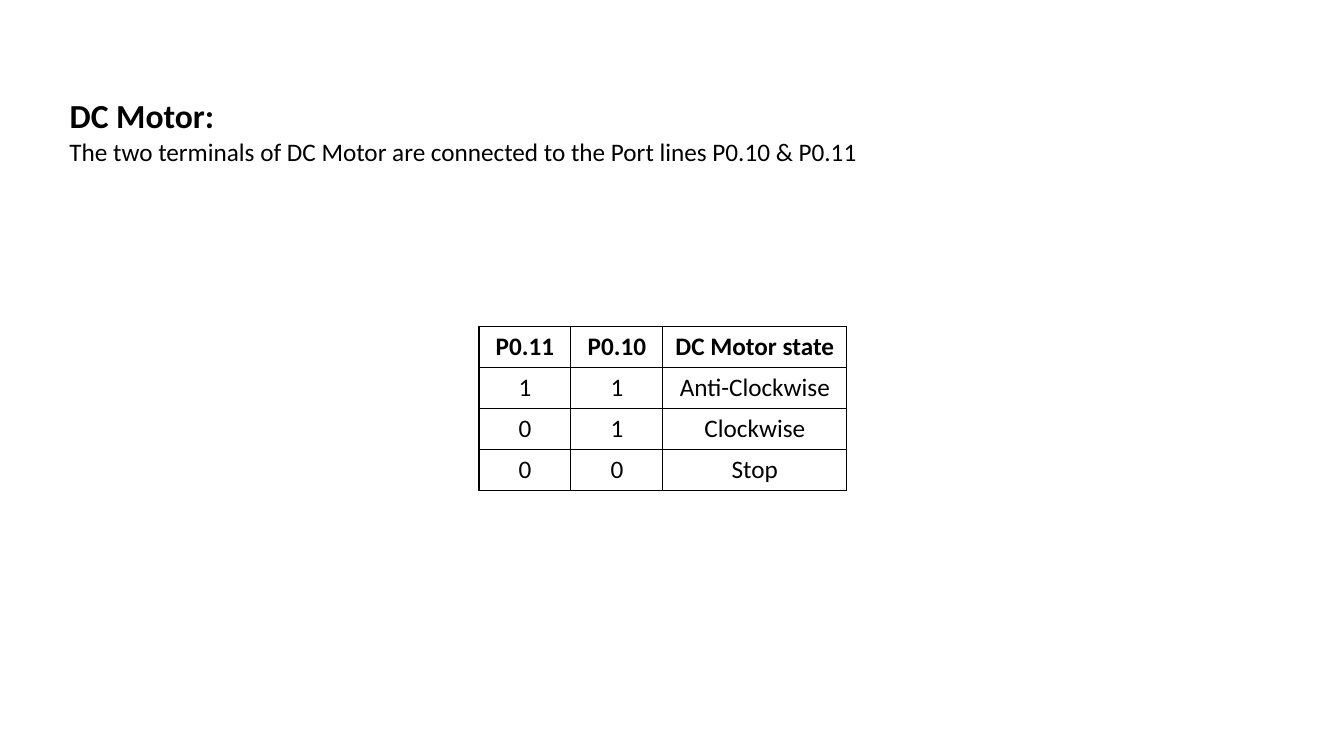
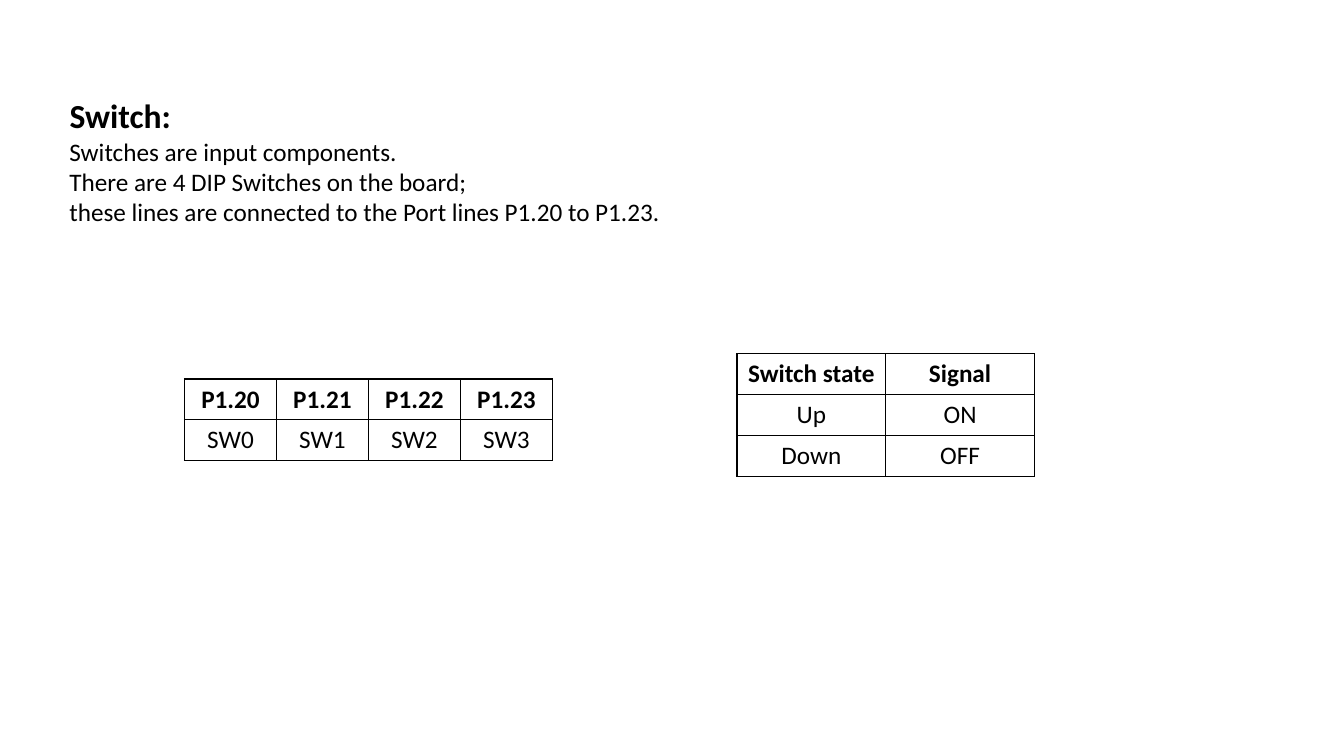
from lxml import etree
from pptx import Presentation
from pptx import util as u
from pptx.dml.color import RGBColor
from pptx.enum import text
from pptx.oxml import ns

FONT, INK, PAPER = "Calibri", "000000", "FFFFFF"
HEADING_SIZE, BODY_SIZE = 24, 18
HEADER_BOX = (0.59, 0.89, 12.2)  # left, top, width
HEADING_HEIGHT, LINE_HEIGHT, INSET = 0.46, 0.3, 0.05


def rgb(value):
    return RGBColor.from_string(value)


def inches(*lengths):
    return [u.Inches(length) for length in lengths]


def write(paragraph, words, size=BODY_SIZE, bold=False, align=text.PP_ALIGN.LEFT):
    paragraph.alignment = align
    run = paragraph.add_run()
    run.text = words
    run.font.name, run.font.size, run.font.bold = FONT, u.Pt(size), bold
    run.font.color.rgb = rgb(INK)


def place(shape, box):
    """Set the box of a text shape, with its lines starting at the top."""
    shape.left, shape.top, shape.width, shape.height = inches(*box)
    frame = shape.text_frame
    frame.word_wrap = True
    frame.auto_size = text.MSO_AUTO_SIZE.NONE
    frame.vertical_anchor = text.MSO_ANCHOR.TOP
    return frame


def add_header(slide, box, heading, lines):
    """Fill the title and put the body lines directly below it."""
    left, top, width = box
    frame = place(slide.shapes.title, (left, top, width, HEADING_HEIGHT))
    frame.margin_top, frame.margin_bottom = inches(INSET, 0)
    write(frame.paragraphs[0], heading, HEADING_SIZE, bold=True)

    body_box = (left, top + HEADING_HEIGHT, width, len(lines) * LINE_HEIGHT + INSET)
    frame = place(slide.shapes.add_textbox(*inches(*body_box)), body_box)
    frame.margin_top = 0
    for index, line in enumerate(lines):
        paragraph = frame.add_paragraph() if index else frame.paragraphs[0]
        write(paragraph, line)


def add_borders(cell, width=1):
    properties = cell._tc.get_or_add_tcPr()
    for side in ("a:lnL", "a:lnR", "a:lnT", "a:lnB"):
        line = etree.SubElement(properties, ns.qn(side), w=str(u.Pt(width)))
        fill = etree.SubElement(line, ns.qn("a:solidFill"))
        etree.SubElement(fill, ns.qn("a:srgbClr"), val=INK)


def add_grid(slide, box, shares, rows):
    """Add a ruled table; shares are the relative column widths."""
    left, top, width, height = inches(*box)
    frame = slide.shapes.add_table(len(rows), len(shares), left, top, width, height)
    table = frame.table
    table.horz_banding = False
    for column, share in zip(table.columns, shares):
        column.width = int(width * share / sum(shares))
    for row_index, row in enumerate(rows):
        table.rows[row_index].height = int(height / len(rows))
        for column_index, words in enumerate(row):
            cell = table.cell(row_index, column_index)
            add_borders(cell)
            cell.fill.solid()
            cell.fill.fore_color.rgb = rgb(PAPER)
            cell.vertical_anchor = text.MSO_ANCHOR.MIDDLE
            write(cell.text_frame.paragraphs[0], words,
                  bold=row_index == 0, align=text.PP_ALIGN.CENTER)


def add_component_slide(presentation, heading, lines, grids):
    slide = presentation.slides.add_slide(presentation.slide_layouts[5])
    add_header(slide, HEADER_BOX, heading, lines)
    for box, shares, rows in grids:
        add_grid(slide, box, shares, rows)


def main():
    presentation = Presentation()
    presentation.slide_width, presentation.slide_height = inches(13.33, 7.5)

    motor_states = [
        ("P0.11", "P0.10", "DC Motor state"),
        ("1", "1", "Anti-Clockwise"),
        ("0", "1", "Clockwise"),
        ("0", "0", "Stop"),
    ]
    add_component_slide(
        presentation, "DC Motor:",
        ["The two terminals of DC Motor are connected to the Port lines P0.10 & P0.11"],
        [((4.75, 3.24, 3.65, 1.62), (1, 1, 2), motor_states)])

    switch_lines = [
        ("P1.20", "P1.21", "P1.22", "P1.23"),
        ("SW0", "SW1", "SW2", "SW3"),
    ]
    switch_states = [("Switch state", "Signal"), ("Up", "ON"), ("Down", "OFF")]
    add_component_slide(
        presentation, "Switch:",
        ["Switches are input components.",
         "There are 4 DIP Switches on the board;",
         "these lines are connected to the Port lines P1.20 to P1.23."],
        [((1.83, 3.76, 3.65, 0.81), (1, 1, 1, 1), switch_lines),
         ((7.31, 3.51, 2.95, 1.22), (1, 1), switch_states)])

    presentation.save("out.pptx")


if __name__ == "__main__":
    main()
